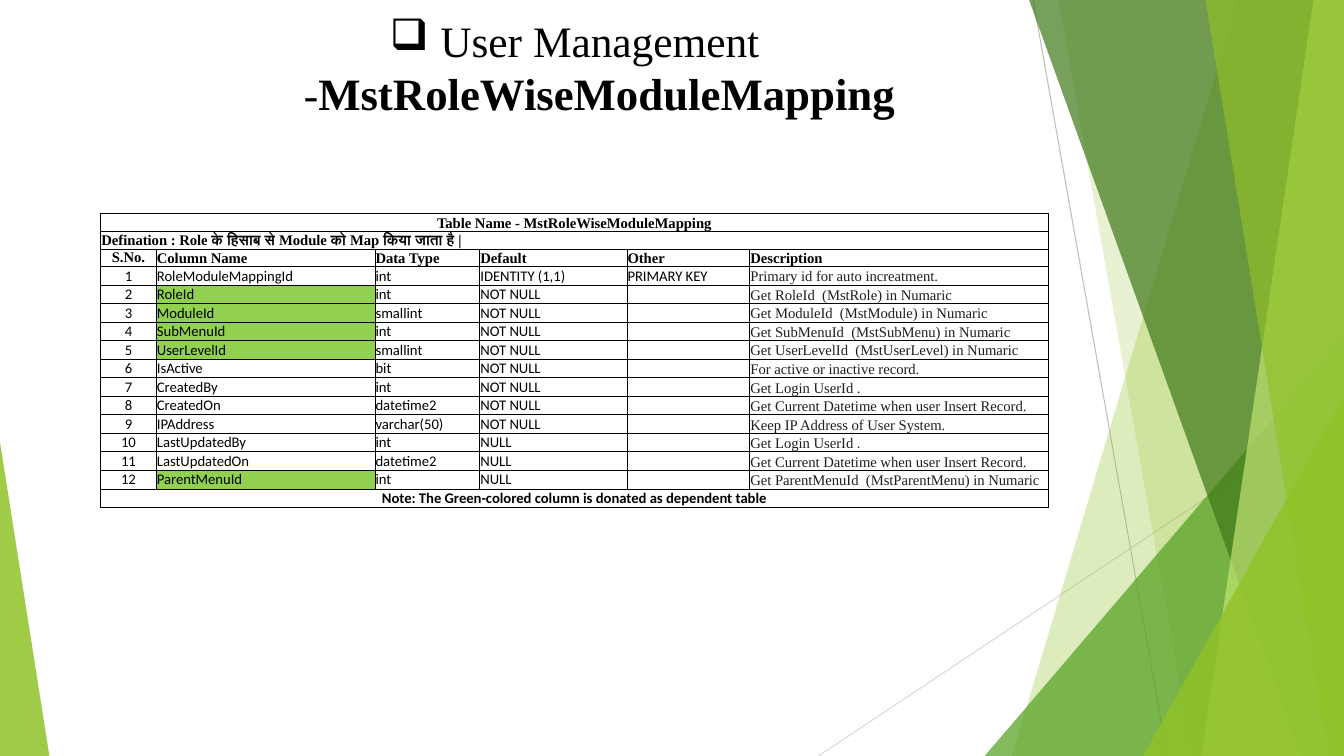
import pptx
import pptx.dml.color
import pptx.enum.shapes
import pptx.enum.text
import pptx.oxml
import pptx.oxml.ns
import pptx.oxml.xmlchemy
import pptx.util
from lxml import etree

Pt = pptx.util.Pt
ALIGN = pptx.enum.text.PP_ALIGN
ANCHOR = pptx.enum.text.MSO_ANCHOR
qn = pptx.oxml.ns.qn

WIDTH, HEIGHT = 960, 540
SERIF, SANS = "Times New Roman", "Calibri"
TABLE_SIZE = 10.5
COLORS = {
    "black": "000000", "ink": "1F1F1F", "dependent": "92D050",
    "lime": "90C226", "green": "54A021", "forest": "3F7819", "pale": "C0E474",
    "gray": "BFBFBF", "light gray": "D9D9D9",
}
# Top x, bottom x, colour, opacity in percent; each band reaches the right edge
BANDS_BEHIND = [(884.2, 722.9, "lime", 30), (756, 851.8, "lime", 20)]
BANDS_FRONT = [(735.1, 929.5, "forest", 70), (938.2, 858.2, "pale", 70),
               (861.1, 949, "lime", 65)]

COLUMN_WIDTHS = [39.6, 156.2, 74.9, 105.1, 87.8, 213.1]
HEADINGS = ["S.No.", "Column Name", "Data Type", "Default", "Other", "Description"]
FIELDS = [
    ("RoleModuleMappingId", "int", "IDENTITY (1,1)", "PRIMARY KEY", "Primary id for auto increatment."),
    ("RoleId", "int", "NOT NULL", "", "Get RoleId  (MstRole) in Numaric"),
    ("ModuleId", "smallint", "NOT NULL", "", "Get ModuleId  (MstModule) in Numaric"),
    ("SubMenuId", "int", "NOT NULL", "", "Get SubMenuId  (MstSubMenu) in Numaric"),
    ("UserLevelId", "smallint", "NOT NULL", "", "Get UserLevelId  (MstUserLevel) in Numaric"),
    ("IsActive", "bit", "NOT NULL", "", "For active or inactive record."),
    ("CreatedBy", "int", "NOT NULL", "", "Get Login UserId ."),
    ("CreatedOn", "datetime2", "NOT NULL", "", "Get Current Datetime when user Insert Record."),
    ("IPAddress", "varchar(50)", "NOT NULL", "", "Keep IP Address of User System."),
    ("LastUpdatedBy", "int", "NULL", "", "Get Login UserId ."),
    ("LastUpdatedOn", "datetime2", "NULL", "", "Get Current Datetime when user Insert Record."),
    ("ParentMenuId", "int", "NULL", "", "Get ParentMenuId  (MstParentMenu) in Numaric"),
]
DEPENDENT = {"RoleId", "ModuleId", "SubMenuId", "UserLevelId", "ParentMenuId"}


def rgb(name):
    return pptx.dml.color.RGBColor.from_string(COLORS[name])


def paint(shape, color, opacity):
    shape.shadow.inherit = False
    shape.line.fill.background()
    shape.fill.solid()
    shape.fill.fore_color.rgb = rgb(color)
    tint = shape.fill._xPr.find(qn("a:solidFill"))[0]
    etree.SubElement(tint, qn("a:alpha")).set("val", str(opacity * 1000))


def add_band(page, top_x, bottom_x, color, opacity):
    builder = page.shapes.build_freeform(Pt(top_x), 0, scale=1.0)
    corners = [(WIDTH, 0), (WIDTH, HEIGHT), (bottom_x, HEIGHT)]
    builder.add_line_segments([(Pt(x), Pt(y)) for x, y in corners], close=True)
    paint(builder.convert_to_shape(), color, opacity)


def add_triangle(page, left, top, width, apex, color, opacity):
    shape = page.shapes.add_shape(
        pptx.enum.shapes.MSO_SHAPE.ISOSCELES_TRIANGLE,
        Pt(left), Pt(top), Pt(width), Pt(HEIGHT - top))
    shape.adjustments[0] = apex
    paint(shape, color, opacity)


def add_line(page, start, end, color):
    line = page.shapes.add_connector(
        pptx.enum.shapes.MSO_CONNECTOR.STRAIGHT, *map(Pt, start + end))
    line.line.color.rgb = rgb(color)
    line.line.width = Pt(0.75)
    etree.SubElement(line._element.spPr, qn("a:effectLst"))


def style(span, size, font, color="black", bold=False):
    span.font.size = Pt(size)
    span.font.name = font
    span.font.bold = bold
    span.font.color.rgb = rgb(color)


def format_title(page):
    title = page.shapes.title
    title.left, title.top, title.width, title.height = map(Pt, (112.3, 5.8, 596.2, 83.5))
    title.text_frame.word_wrap = True
    title.text_frame.auto_size = pptx.enum.text.MSO_AUTO_SIZE.NONE
    title.text_frame.vertical_anchor = ANCHOR.MIDDLE
    para = title.text_frame.paragraphs[0]
    para.alignment = ALIGN.CENTER
    properties = para._p.get_or_add_pPr()
    properties.set("marL", str(Pt(36)))
    properties.set("indent", str(Pt(-36)))
    etree.SubElement(properties, qn("a:buChar")).set("char", "❑")
    for text, size, bold in [("User Management -", 31, False),
                             ("MstRoleWiseModuleMapping", 32, True)]:
        span = para.add_run()
        span.text = text
        style(span, size, SERIF, bold=bold)


def add_borders(cell):
    properties = cell._tc.get_or_add_tcPr()
    for index, side in enumerate(("lnL", "lnR", "lnT", "lnB")):
        border = etree.Element(qn("a:" + side), w=str(Pt(0.5)))
        fill = etree.SubElement(border, qn("a:solidFill"))
        etree.SubElement(fill, qn("a:srgbClr")).set("val", COLORS["black"])
        properties.insert(index, border)


def fill_cell(cell, text, font, color="black", bold=False, centered=False, anchor=ANCHOR.BOTTOM):
    cell.vertical_anchor = anchor
    para = cell.text_frame.paragraphs[0]
    para.alignment = ALIGN.CENTER if centered else ALIGN.LEFT
    if text:
        para.text = text
        style(para.runs[0], TABLE_SIZE, font, color, bold)
    else:
        # An empty cell keeps the row at the size of its text
        etree.SubElement(para._p, qn("a:endParaRPr")).set("sz", str(int(TABLE_SIZE * 100)))


def add_mapping_table(page):
    row_count = len(FIELDS) + 4
    frame = page.shapes.add_table(row_count, len(HEADINGS), Pt(72), Pt(152.6),
                                  Pt(sum(COLUMN_WIDTHS)), Pt(12.6 * row_count))
    table = frame.table
    table.first_row = table.horz_banding = False
    for column, width in zip(table.columns, COLUMN_WIDTHS):
        column.width = Pt(width)
    for row in table.rows:
        row.height = Pt(12.6)
        for cell in row.cells:
            cell.margin_left = cell.margin_right = cell.margin_top = Pt(0.5)
            cell.margin_bottom = 0
            cell.fill.background()
            add_borders(cell)

    # Full-width rows
    last = row_count - 1
    for index, text, font, centered in [
            (0, "Table Name - MstRoleWiseModuleMapping", SERIF, True),
            (1, "Defination : Role के हिसाब से Module को Map किया जाता है |", SERIF, False),
            (last, "Note: The Green-colored column is donated as dependent table", SANS, True)]:
        table.cell(index, 0).merge(table.cell(index, len(HEADINGS) - 1))
        fill_cell(table.cell(index, 0), text, font, bold=True, centered=centered)

    # Headings and fields
    records = [HEADINGS] + [(str(n), *field) for n, field in enumerate(FIELDS, 1)]
    for index, record in enumerate(records, 2):
        heading = index == 2
        for column, text in enumerate(record):
            number, description = column == 0, column == len(HEADINGS) - 1
            cell = table.cell(index, column)
            fill_cell(cell, text, SERIF if heading or description else SANS,
                      "ink" if description and not heading else "black", heading,
                      number, ANCHOR.MIDDLE if number else ANCHOR.BOTTOM)
            if text in DEPENDENT:
                cell.fill.solid()
                cell.fill.fore_color.rgb = rgb("dependent")


def add_backdrop(page):
    add_line(page, (738, 0), (833.8, HEIGHT), "gray")
    add_line(page, (WIDTH, 290.2), (584.6, HEIGHT), "light gray")
    for band in BANDS_BEHIND:
        add_band(page, *band)
    add_triangle(page, 703.4, 239.8, 256.6, 1, "green", 72)
    for band in BANDS_FRONT:
        add_band(page, *band)
    add_triangle(page, 816.5, 283, 143.5, 1, "lime", 80)
    add_triangle(page, 0, 316, 35.3, 0, "lime", 85)


def main():
    deck = pptx.Presentation()
    deck.slide_width, deck.slide_height = Pt(WIDTH), Pt(HEIGHT)
    page = deck.slides.add_slide(deck.slide_layouts[5])
    add_backdrop(page)
    format_title(page)
    add_mapping_table(page)
    deck.save("out.pptx")


if __name__ == "__main__":
    main()
